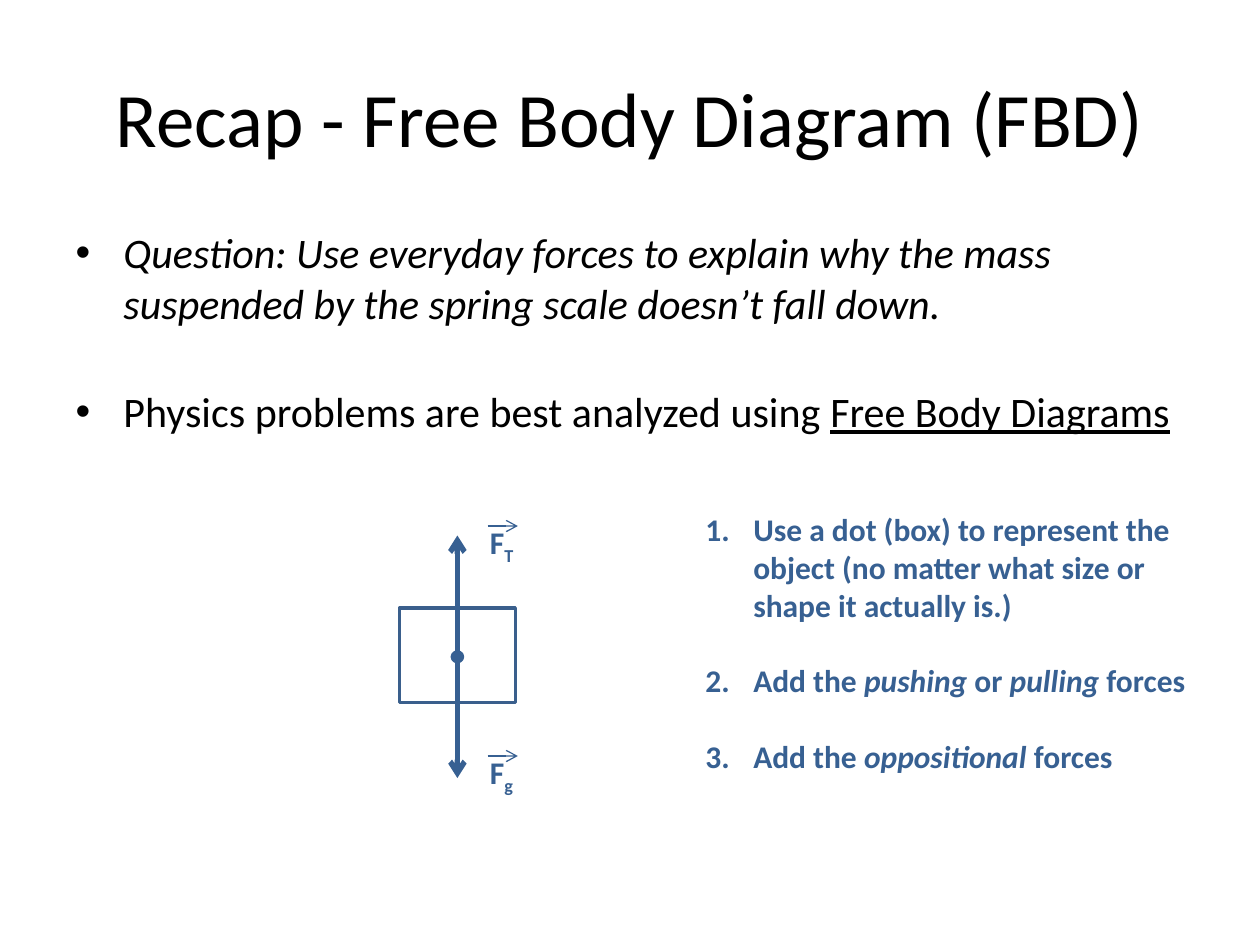
from dataclasses import dataclass

from lxml import etree
from pptx import Presentation
from pptx import util as u
from pptx.dml.color import RGBColor
from pptx.enum import shapes, text
from pptx.oxml.ns import qn


@dataclass(frozen=True)
class Theme:
    font: str = "Calibri"
    ink: str = "000000"
    accent: str = "376092"
    outline: str = "3A5F8C"
    title: int = 44
    body: int = 24
    note: int = 18


THEME = Theme()


@dataclass(frozen=True)
class Box:
    """A region in inches; inner places are shares of its size."""
    left: float
    top: float
    width: float
    height: float

    def point(self, x, y):
        return u.Inches(self.left + x * self.width), u.Inches(self.top + y * self.height)

    def area(self, x=0, y=0, width=1, height=1):
        return (*self.point(x, y), u.Inches(width * self.width), u.Inches(height * self.height))


SLIDE = Box(0, 0, 10, 7.5)


def place(shape, area):
    shape.left, shape.top, shape.width, shape.height = area


def write_runs(paragraph, runs, size, color, bold=False):
    """Add (words, style) runs; style is "", "italic", "underline" or "subscript"."""
    for words, style in runs:
        run = paragraph.add_run()
        run.text = words
        font = run.font
        font.name, font.size, font.bold = THEME.font, u.Pt(size), bold
        font.color.rgb = RGBColor.from_string(color)
        font.italic = style == "italic"
        font.underline = style == "underline"
        if style == "subscript":
            run._r.get_or_add_rPr().set("baseline", "-25000")


def write_list(frame, items, gap, size, color, bold=False, numbered=False):
    for index, runs in enumerate(items):
        paragraph = frame.paragraphs[0] if index == 0 else frame.add_paragraph()
        properties = paragraph._p.get_or_add_pPr()
        properties.set("marL", str(u.Inches(0.38)))
        properties.set("indent", str(-u.Inches(0.38)))
        paragraph.space_before = u.Pt(gap if index else 0)
        if numbered:
            etree.SubElement(properties, qn("a:buFont"), typeface="+mj-lt")
            etree.SubElement(properties, qn("a:buAutoNum"), type="arabicPeriod")
        write_runs(paragraph, runs, size, color, bold)


def add_title(slide, box, words):
    title = slide.shapes.title
    place(title, box.area())
    frame = title.text_frame
    frame.vertical_anchor = text.MSO_ANCHOR.MIDDLE
    frame.paragraphs[0].alignment = text.PP_ALIGN.CENTER
    write_runs(frame.paragraphs[0], [(words, "")], THEME.title, THEME.ink)


def add_body(slide, box, items):
    body = slide.placeholders[1]
    place(body, box.area())
    body.text_frame.auto_size = text.MSO_AUTO_SIZE.NONE
    write_list(body.text_frame, items, 33, THEME.body, THEME.ink)


def add_steps(slide, box, items):
    frame = slide.shapes.add_textbox(*box.area()).text_frame
    frame.word_wrap = True
    write_list(frame, items, 21.5, THEME.note, THEME.accent, bold=True, numbered=True)


def add_arrow(slide, begin, end, weight):
    arrow = slide.shapes.add_connector(shapes.MSO_CONNECTOR.STRAIGHT, *begin, *end)
    arrow.line.color.rgb = RGBColor.from_string(THEME.accent)
    arrow.line.width = u.Pt(weight)
    etree.SubElement(arrow.line._get_or_add_ln(), qn("a:tailEnd"), type="arrow")
    etree.SubElement(arrow._element.spPr, qn("a:effectLst"))


def add_outlined(slide, kind, area, line, fill=None):
    shape = slide.shapes.add_shape(kind, *area)
    shape.shadow.inherit = False
    shape.line.color.rgb = RGBColor.from_string(line)
    shape.line.width = u.Pt(2)
    if fill:
        shape.fill.solid()
        shape.fill.fore_color.rgb = RGBColor.from_string(fill)
    else:
        shape.fill.background()


def add_force(slide, box, start, tip, label_top, subscript):
    """Draw a force along the centre line and its vector symbol beside it."""
    add_arrow(slide, box.point(0.46, start), box.point(0.46, tip), 3)
    label = slide.shapes.add_textbox(*box.area(0.62, label_top, 0.4, 0.16))
    label.text_frame.word_wrap = False
    write_runs(label.text_frame.paragraphs[0], [("F", ""), (subscript, "subscript")],
               THEME.note, THEME.accent, bold=True)
    bar = label_top + 0.03
    add_arrow(slide, box.point(0.7, bar), box.point(0.94, bar), 0.75)


def add_free_body_diagram(slide, box):
    kinds = shapes.MSO_SHAPE
    add_outlined(slide, kinds.RECTANGLE, box.area(0, 0.33, 0.92, 0.3), THEME.outline)
    add_force(slide, box, 0.5, 0.87, 0.77, "g")
    add_force(slide, box, 0.47, 0.1, 0.04, "T")
    add_outlined(slide, kinds.FLOWCHART_CONNECTOR, box.area(0.42, 0.47, 0.08, 0.03),
                 THEME.accent, THEME.accent)


def main():
    presentation = Presentation()
    presentation.slide_width = u.Inches(SLIDE.width)
    presentation.slide_height = u.Inches(SLIDE.height)
    slide = presentation.slides.add_slide(presentation.slide_layouts[1])
    add_title(slide, Box(0.5, 0.3, 9, 1.25), "Recap - Free Body Diagram (FBD)")
    add_body(slide, Box(0.5, 1.75, 9, 2), [
        [("Question: Use everyday forces to explain why the mass suspended "
          "by the spring scale doesn’t fall down.", "italic")],
        [("Physics problems are best analyzed using ", ""),
         ("Free Body Diagrams", "underline")],
    ])
    add_free_body_diagram(slide, Box(3.17, 4, 1, 2.5))
    add_steps(slide, Box(5.5, 4, 4.25, 2.22), [
        [("Use a dot (box) to represent the object "
          "(no matter what size or shape it actually is.)", "")],
        [("Add the ", ""), ("pushing", "italic"), (" or ", ""),
         ("pulling", "italic"), (" forces", "")],
        [("Add the ", ""), ("oppositional", "italic"), (" forces", "")],
    ])
    presentation.save("out.pptx")


if __name__ == "__main__":
    main()
